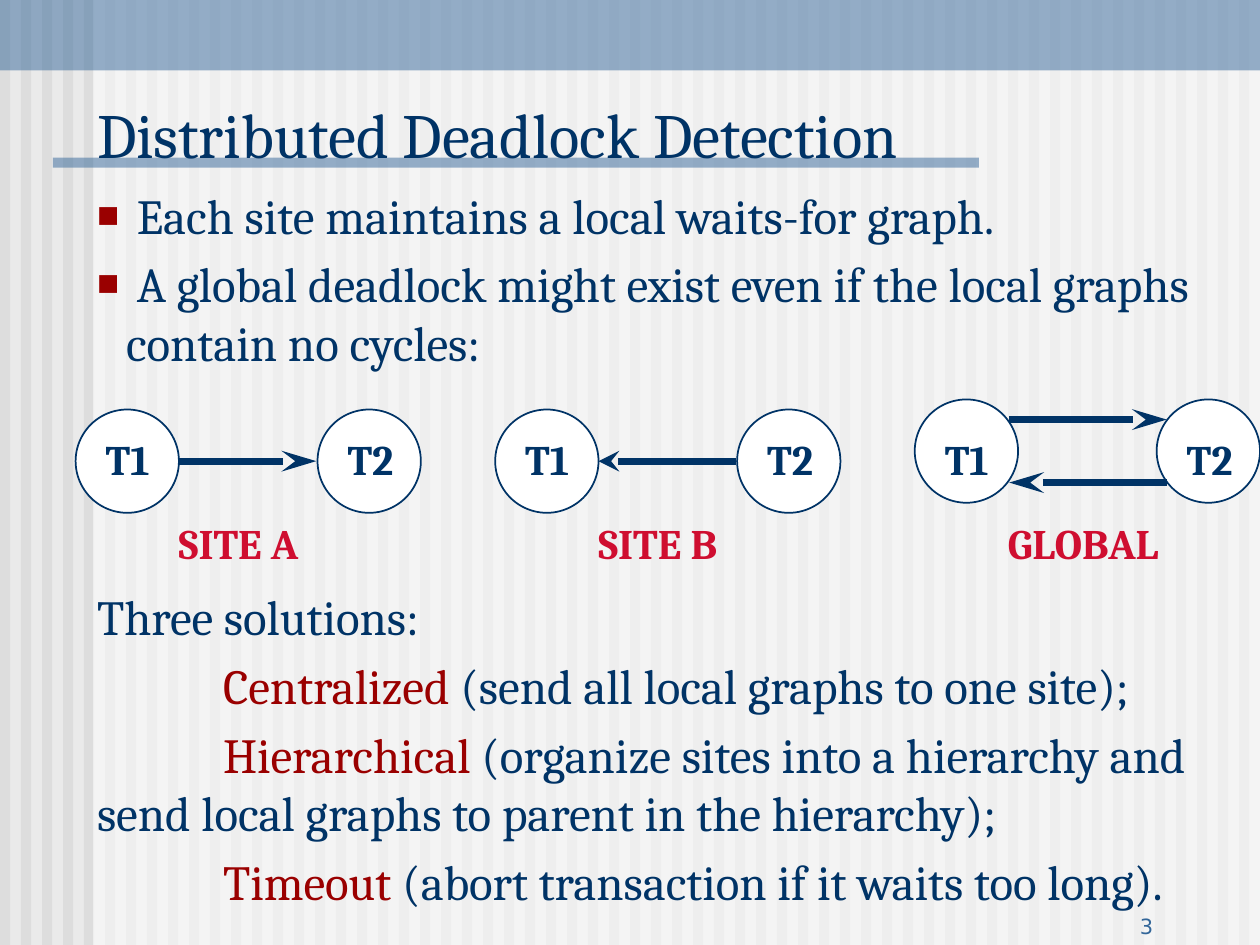
import pptx
import pptx.util
import pptx.dml.color
import pptx.enum.shapes
import pptx.enum.text
import pptx.oxml
import pptx.oxml.ns

Inches, Pt = pptx.util.Inches, pptx.util.Pt
SHAPES = pptx.enum.shapes.MSO_SHAPE
ALIGN = pptx.enum.text.PP_ALIGN
FIT = pptx.enum.text.MSO_AUTO_SIZE
ANCHOR = pptx.enum.text.MSO_ANCHOR

COLOURS = {"ground": "EAEAEA", "stripe": "DDDDDD", "white": "FFFFFF", "band": "336699",
           "ink": "003366", "accent": "9A0000", "label": "CF0E30"}
FONT = "Cambria"
WIDTH, HEIGHT = 10, 7.5

TITLE = "Distributed Deadlock Detection"
BULLETS = [
    " Each site maintains a local waits-for graph.",
    " A global deadlock might exist even if the local graphs contain no cycles:",
]
SOLUTIONS_HEADING = "Three solutions:"
SOLUTIONS = [
    ("Centralized", " (send all local graphs to one site);"),
    ("Hierarchical", " (organize sites into a hierarchy and send local graphs "
                     "to parent in the hierarchy);"),
    ("Timeout", " (abort transaction if it waits too long)."),
]
PAGE_NUMBER = "3"

# Arrows: (start x and end x from the graph's left edge, y, arrow end, head length)
GRAPHS = [
    {"label": "SITE A", "label_x": 0.72, "label_width": 1.3, "top": 3.25,
     "arrows": [(0.82, 1.91, 3.66, "tailEnd", "lg")]},
    {"label": "SITE B", "label_x": 0.72, "label_width": 1.27, "top": 3.25,
     "arrows": [(0.82, 1.91, 3.66, "headEnd", "med")]},
    {"label": "GLOBAL", "label_x": 0.64, "label_width": 1.65, "top": 3.17,
     "arrows": [(0.75, 2, 3.33, "tailEnd", "lg"), (0.75, 2, 3.83, "headEnd", "lg")]},
]
NODES = ["T1", "T2"]
GRAPH_LEFT, GRAPH_STEP = 0.6, 3.33
NODE_SIZE, NODE_STEP = 0.82, 1.92
STRIPES_PER_INCH, STRIPE_WIDTH = 6, 0.08


def colour(name):
    return pptx.dml.color.RGBColor.from_string(COLOURS[name])


def add_xml(parent, tag, **attributes):
    child = pptx.oxml.parse_xml(f"<a:{tag} {pptx.oxml.ns.nsdecls('a')}/>")
    for key, value in attributes.items():
        child.set(key, str(value))
    parent.append(child)
    return child


def add_filled(page, kind, place, fill, alpha=None, line=None):
    shape = page.shapes.add_shape(kind, *map(Inches, place))
    shape.shadow.inherit = False
    shape.fill.solid()
    shape.fill.fore_color.rgb = colour(fill)
    if alpha:
        tint = shape._element.spPr.find(".//" + pptx.oxml.ns.qn("a:srgbClr"))
        add_xml(tint, "alpha", val=alpha * 1000)
    if line:
        shape.line.color.rgb = colour(line)
        shape.line.width = Pt(1)
    else:
        shape.line.fill.background()


def format_span(span, size, tone="ink", bold=False, font=FONT):
    span.font.name = font
    span.font.size = Pt(size)
    span.font.bold = bold
    span.font.color.rgb = colour(tone)


def add_label(page, place, text, tone):
    box = page.shapes.add_textbox(*map(Inches, place))
    frame = box.text_frame
    frame.text = text
    frame.word_wrap = False
    frame.auto_size = FIT.SHAPE_TO_FIT_TEXT
    format_span(frame.paragraphs[0].runs[0], 24, tone, bold=True)


def add_arrow(page, start, end, y, arrow_end, length):
    arrow = page.shapes.add_connector(pptx.enum.shapes.MSO_CONNECTOR.STRAIGHT,
                                      Inches(start), Inches(y), Inches(end), Inches(y))
    arrow.line.color.rgb = colour("ink")
    arrow.line.width = Pt(4)
    add_xml(arrow.line._get_or_add_ln(), arrow_end, type="stealth", w="med", len=length)
    add_xml(arrow._element.spPr, "effectLst")


def add_backdrop(page):
    page.background.fill.solid()
    page.background.fill.fore_color.rgb = colour("ground")
    for index in range(WIDTH * STRIPES_PER_INCH):
        place = (index / STRIPES_PER_INCH, 0, STRIPE_WIDTH, HEIGHT)
        add_filled(page, SHAPES.RECTANGLE, place, "stripe")
    for place, fill in [((0.74, 0, 9.26, HEIGHT), "white"),
                        ((0, 0, WIDTH, 0.56), "band"),
                        ((0.42, 1.25, 7.35, 0.08), "band")]:
        add_filled(page, SHAPES.RECTANGLE, place, fill, alpha=50)


def place_placeholder(page, holder, place):
    """Move a placeholder in front of the backdrop."""
    page.shapes._spTree.append(holder._element)
    holder.left, holder.top, holder.width, holder.height = map(Inches, place)
    holder.text_frame.word_wrap = True
    return holder.text_frame


def add_page_number(page):
    """Put the number at the foot, below the last line of the body."""
    height = 0.3
    box = page.shapes.add_textbox(*map(Inches, (7.17, HEIGHT - height, 2.08, height)))
    frame = box.text_frame
    frame.text = PAGE_NUMBER
    frame.word_wrap = True
    frame.vertical_anchor = ANCHOR.BOTTOM
    frame.paragraphs[0].alignment = ALIGN.RIGHT
    format_span(frame.paragraphs[0].runs[0], 12, "band", font="DejaVu Sans")


def fill_title(page):
    frame = place_placeholder(page, page.shapes.title, (0.67, 0.58, 9.08, 0.83))
    frame.text = TITLE
    frame.auto_size = FIT.NONE
    frame.vertical_anchor = ANCHOR.BOTTOM
    frame.paragraphs[0].alignment = ALIGN.LEFT
    format_span(frame.paragraphs[0].runs[0], 36)


def fill_body(page):
    frame = place_placeholder(page, page.placeholders[1], (0.67, 1.42, 9.33, 5.5))
    frame.auto_size = FIT.NONE
    rows = [(True, 0.23, -0.23, [(text, "ink")]) for text in BULLETS]
    rows.append((False, 0, 0, [(SOLUTIONS_HEADING, "ink")]))
    rows += [(False, 0, 1, [(name, "accent"), (detail, "ink")])
             for name, detail in SOLUTIONS]
    for index, (bulleted, margin, indent, spans) in enumerate(rows):
        para = frame.add_paragraph() if index else frame.paragraphs[0]
        para.space_before = Pt(5.6)
        for text, tone in spans:
            span = para.add_run()
            span.text = text
            format_span(span, 28, tone)
        settings = para._p.get_or_add_pPr()
        settings.set("marL", str(Inches(margin)))
        settings.set("indent", str(Inches(indent)))
        if bulleted:
            add_xml(add_xml(settings, "buClr"), "srgbClr", val=COLOURS["accent"])
            add_xml(settings, "buSzPct", val=75000)
            add_xml(settings, "buChar", char="■")
        else:
            add_xml(settings, "buNone")
    # Room for the graphs
    frame.paragraphs[len(BULLETS)].space_before = Pt(123)


def add_graph(page, left, graph):
    for index, name in enumerate(NODES):
        x = left + index * NODE_STEP
        add_filled(page, SHAPES.OVAL, (x, graph["top"], NODE_SIZE, NODE_SIZE),
                   "white", line="ink")
        add_label(page, (x + 0.14, 3.39, 0.59, 0.5), name, "ink")
    for start, end, y, arrow_end, length in graph["arrows"]:
        add_arrow(page, left + start, left + end, y, arrow_end, length)
    add_label(page, (left + graph["label_x"], 4.06, graph["label_width"], 0.5),
              graph["label"], "label")


def main():
    deck = pptx.Presentation()
    deck.slide_width, deck.slide_height = Inches(WIDTH), Inches(HEIGHT)
    page = deck.slides.add_slide(deck.slide_layouts[1])
    add_backdrop(page)
    add_page_number(page)
    fill_title(page)
    fill_body(page)
    for index, graph in enumerate(GRAPHS):
        add_graph(page, GRAPH_LEFT + index * GRAPH_STEP, graph)
    deck.save("out.pptx")


if __name__ == "__main__":
    main()
